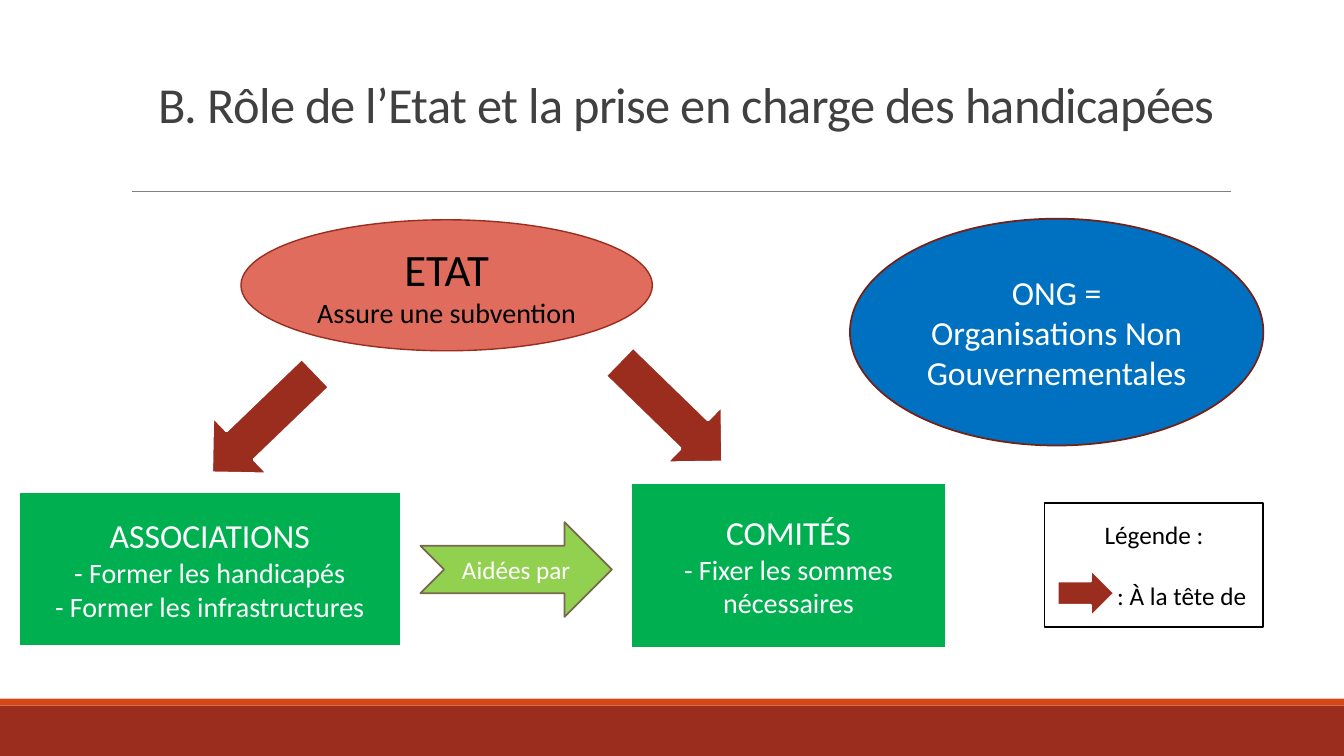
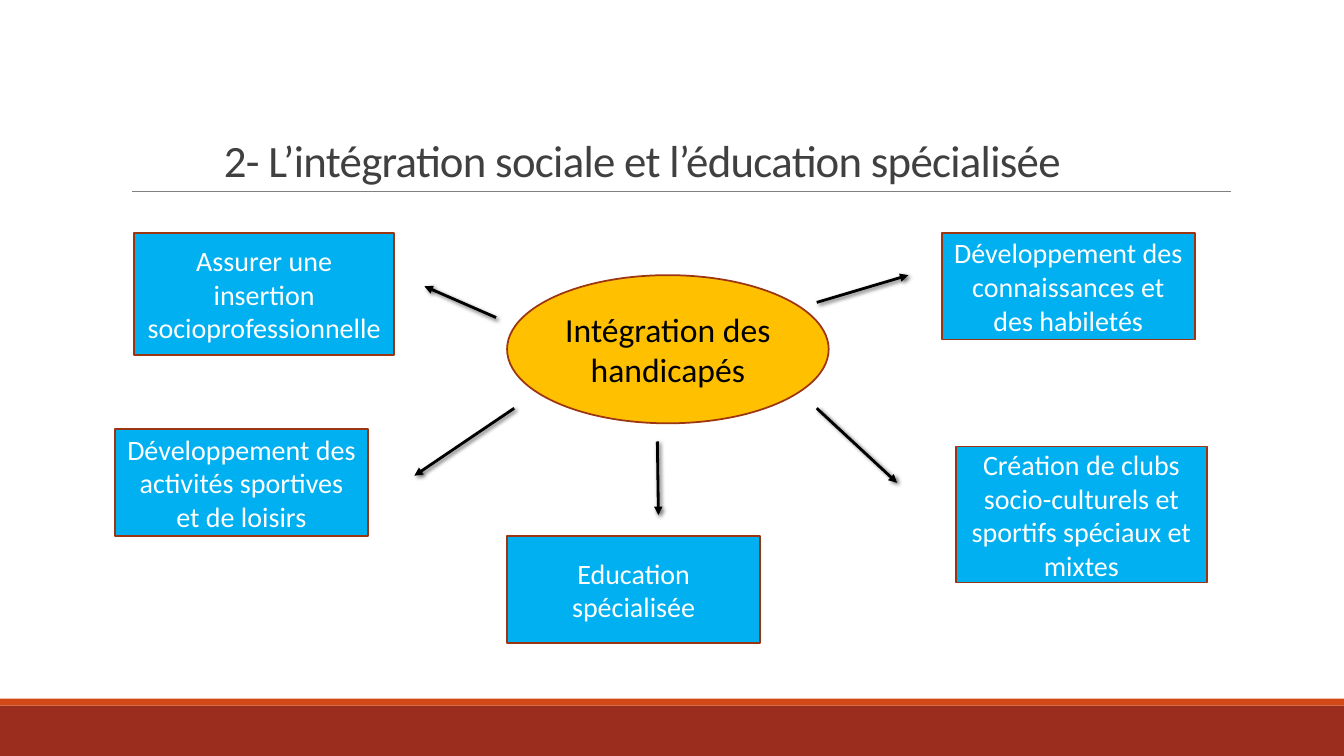
from dataclasses import dataclass

from lxml.etree import SubElement
from pptx import Presentation
from pptx.dml.color import RGBColor
from pptx.enum.shapes import MSO_CONNECTOR as Connector, MSO_SHAPE as Shape
from pptx.enum.text import MSO_ANCHOR as Anchor, PP_ALIGN as Align
from pptx.oxml import parse_xml
from pptx.oxml.ns import nsdecls, qn
from pptx.util import Inches, Pt

FONT = "Calibri"
WHITE, BLACK = "FFFFFF", "000000"
BRICK, ORANGE, RUST = "9B2D1F", "D34817", "9C3511"
TITLE_GREY, RULE_GREY = "404040", "808080"
GREEN, SKY, AMBER = "00B050", "00B0F0", "FFC000"


@dataclass
class Box:
    """A region in inches, divided into 100 columns and 100 rows."""
    left: float
    top: float
    width: float
    height: float

    def point(self, column, row):
        return (self.left + self.width * column / 100,
                self.top + self.height * row / 100)

    def area(self, column, row, columns, rows):
        return Box(*self.point(column, row),
                   self.width * columns / 100, self.height * rows / 100)

    def lengths(self):
        return [Inches(v) for v in (self.left, self.top, self.width, self.height)]


PAGE = Box(0, 0, 13.33, 7.5)
TITLE = PAGE.area(9, 4.13, 82.5, 21.2)


def color(value):
    return RGBColor.from_string(value)


def add_para(frame, text, first=False, size=20, ink=WHITE, align=Align.CENTER, before=0):
    para = frame.paragraphs[0] if first else frame.add_paragraph()
    para.alignment = align
    para.space_before = Pt(before)
    span = para.add_run()
    span.text = text
    span.font.name, span.font.size = FONT, Pt(size)
    span.font.color.rgb = color(ink)


def add_figure(page, kind, box, fill, line=None, weight=1.25, rotation=0, texts=()):
    """Draw a preset shape; texts holds pairs of wording and its format."""
    figure = page.shapes.add_shape(kind, *box.lengths())
    figure.shadow.inherit = False
    figure.rotation = rotation
    figure.fill.solid()
    figure.fill.fore_color.rgb = color(fill)
    if line:
        figure.line.color.rgb = color(line)
        figure.line.width = Pt(weight)
    else:
        figure.line.fill.background()
    for index, (text, style) in enumerate(texts):
        add_para(figure.text_frame, text, first=index == 0, **style)
    return figure


def add_line(page, start, end, ink, weight, arrow=False):
    """Draw a plain line, or an arrow with a soft shadow."""
    ends = [Inches(v) for v in (*start, *end)]
    line = page.shapes.add_connector(Connector.STRAIGHT, *ends)
    line.line.color.rgb = color(ink)
    line.line.width = Pt(weight)
    properties = line.element.spPr
    effects = SubElement(properties, qn("a:effectLst"))
    if arrow:
        SubElement(properties.find(qn("a:ln")), qn("a:tailEnd"), type="triangle")
        effects.append(parse_xml(
            f'<a:outerShdw {nsdecls("a")} blurRad="38100" dist="25400" dir="2700000">'
            f'<a:srgbClr val="{BLACK}"><a:alpha val="60000"/></a:srgbClr></a:outerShdw>'))
    return line


def style_layout(deck, layout):
    """Give the layout its title style, bottom bands and rule."""
    title = layout.placeholders[0]
    title.left, title.top, title.width, title.height = TITLE.lengths()
    title.text_frame.vertical_anchor = Anchor.BOTTOM
    title.element.txBody.find(qn("a:lstStyle")).append(parse_xml(
        f'<a:lvl1pPr {nsdecls("a")} algn="l"><a:lnSpc><a:spcPct val="85000"/></a:lnSpc>'
        f'<a:defRPr sz="3600" spc="-50"><a:solidFill><a:srgbClr val="{TITLE_GREY}"/>'
        f'</a:solidFill><a:latin typeface="{FONT}"/></a:defRPr></a:lvl1pPr>'))
    # Layouts cannot create shapes, so the first page lends its own.
    page = deck.slides.add_slide(layout)
    for item in (
        add_figure(page, Shape.RECTANGLE, PAGE.area(0, 93.33, 100, 6.67), BRICK),
        add_figure(page, Shape.RECTANGLE, PAGE.area(0, 92.4, 100, 0.93), ORANGE),
        add_line(page, PAGE.point(9.83, 25.33), PAGE.point(91.6, 25.33), RULE_GREY, 0.5),
    ):
        layout.shapes.element.append(item.element)
    return page


def set_title(page, text, size, indent, lift=0.05):
    frame = page.shapes.title.text_frame
    frame.text = text
    frame.margin_left, frame.margin_bottom = Inches(indent), Inches(lift)
    frame.paragraphs[0].runs[0].font.size = Pt(size)


def draw_legend(page, box):
    label = dict(size=18, ink=BLACK)
    frame = add_figure(page, Shape.RECTANGLE, box, WHITE, BLACK, texts=[
        ("Légende :", label),
        (": À la tête de", dict(label, align=Align.RIGHT, before=22)),
    ]).text_frame
    frame.margin_left = frame.margin_right = Inches(0.17)
    add_figure(page, Shape.RIGHT_ARROW, box.area(5.8, 53.3, 26.3, 39), BRICK, WHITE, 2)


def draw_state_roles(page, box):
    heading = dict(size=24)
    add_figure(page, Shape.OVAL, box.area(17.93, 29.07, 30.61, 17.33), "DF6C5D", BRICK, 1,
               texts=[("ETAT", dict(size=32, ink=BLACK)),
                      ("Assure une subvention", dict(ink=BLACK))])
    bodies = [
        ((1.35, 65.07, 28.51, 20.4), "ASSOCIATIONS",
         ["- Former les handicapés", "- Former les infrastructures"]),
        ((46.89, 63.87, 23.56, 21.87), "COMITÉS", ["- Fixer les sommes nécessaires"]),
    ]
    for place, name, tasks in bodies:
        add_figure(page, Shape.RECTANGLE, box.area(*place), GREEN, WHITE, 2,
                   texts=[(name, heading)] + [(task, {}) for task in tasks])
    for column, row, angle in ((16.65, 46.4, 46.1), (46.96, 44.93, 314.2)):
        add_figure(page, Shape.DOWN_ARROW, box.area(column, row, 5.93, 19.07),
                   BRICK, WHITE, 2, rotation=angle)
    add_figure(page, Shape.NOTCHED_RIGHT_ARROW, box.area(31.28, 69.07, 14.25, 12.53),
               "92D050", "78694E", texts=[("Aidées par", dict(size=18))])
    add_figure(page, Shape.OVAL, box.area(63.24, 28.93, 30.76, 30), "0070C0", "732117",
               texts=[("ONG =", heading), ("Organisations Non Gouvernementales", heading)])
    draw_legend(page, box.area(77.72, 66.53, 16.28, 16.4))


def draw_integration(page, box):
    add_figure(page, Shape.OVAL, box.area(37.73, 36.4, 23.93, 19.6), AMBER, RUST,
               texts=[("Intégration des handicapés", dict(size=24, ink=BLACK))])
    # Each goal: its box, then the start and end of its arrow.
    goals = [
        ("Assurer une insertion socioprofessionnelle",
         (9.98, 30.8, 19.35, 16.13), (36.91, 42), (31.58, 37.87)),
        ("Développement des activités sportives et de loisirs",
         (8.55, 56.8, 18.83, 14.13), (38.26, 54), (30.83, 62.93)),
        ("Education spécialisée",
         (37.73, 70.93, 18.83, 14.13), (48.91, 58.4), (48.99, 68.13)),
        ("Création de clubs socio-culturels et sportifs spéciaux et mixtes",
         (71.12, 59.07, 18.68, 18), (60.77, 54), (66.75, 63.87)),
        ("Développement des connaissances et des habiletés",
         (70.07, 30.8, 18.83, 14.13), (60.77, 40), (67.59, 36.4)),
    ]
    for text, place, start, end in goals:
        add_figure(page, Shape.RECTANGLE, box.area(*place), SKY, RUST, texts=[(text, {})])
        add_line(page, box.point(*start), box.point(*end), BLACK, 2, arrow=True)


def main():
    deck = Presentation()
    deck.slide_width, deck.slide_height = Inches(PAGE.width), Inches(PAGE.height)
    layout = deck.slide_layouts.get_by_name("Title Only")

    roles = style_layout(deck, layout)
    set_title(roles, "B. Rôle de l’Etat et la prise en charge des handicapées",
              size=36, indent=0.37, lift=0.57)
    draw_state_roles(roles, PAGE)

    integration = deck.slides.add_slide(layout)
    set_title(integration, "2- L’intégration sociale et l’éducation spécialisée",
              size=32, indent=1.02)
    draw_integration(integration, PAGE)

    deck.save("out.pptx")


if __name__ == "__main__":
    main()
